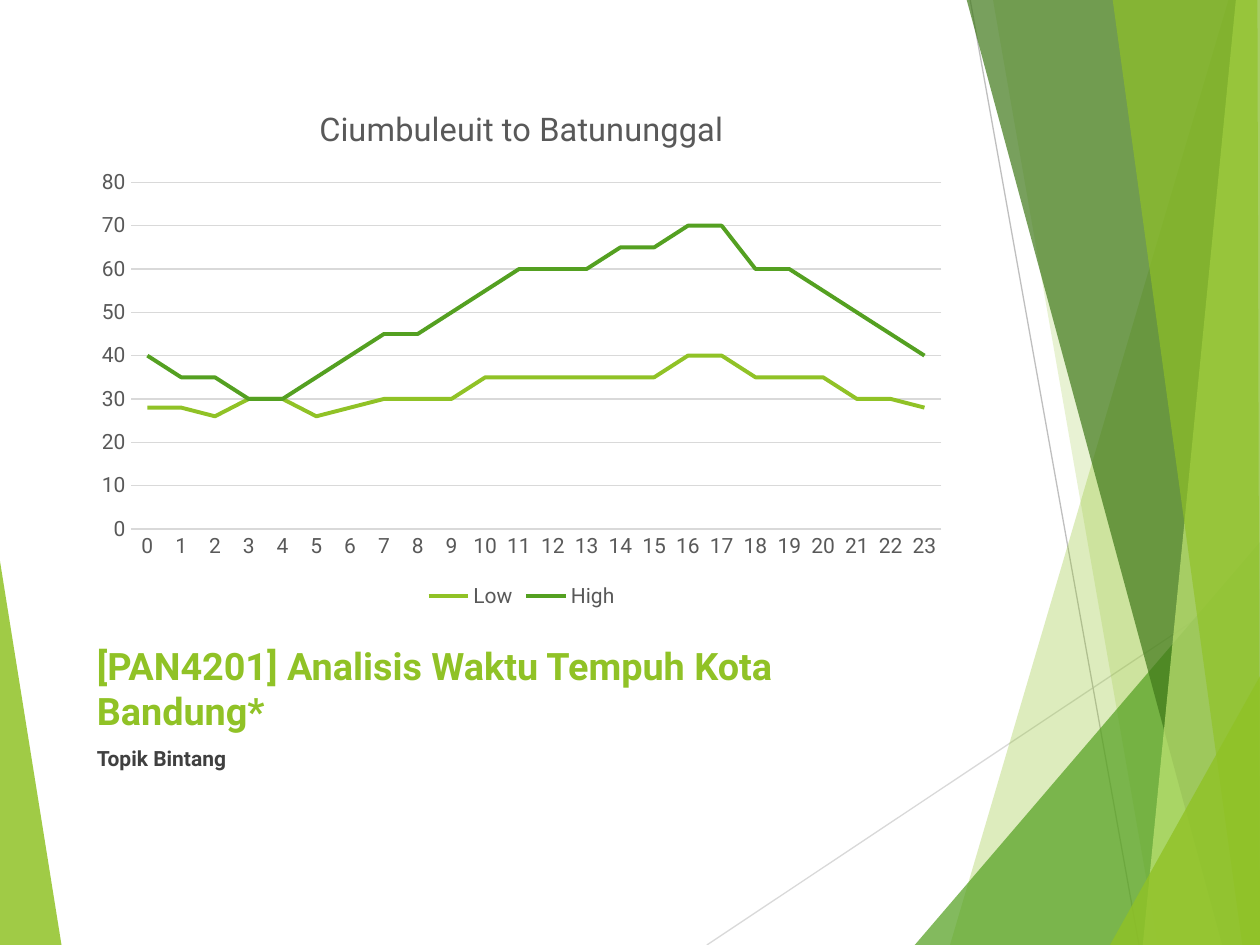
from dataclasses import dataclass

from lxml.etree import SubElement
from pptx import Presentation
from pptx.chart.data import CategoryChartData
from pptx.dml.color import RGBColor
from pptx.enum.chart import XL_CHART_TYPE, XL_LEGEND_POSITION, XL_TICK_MARK
from pptx.enum.shapes import MSO_CONNECTOR
from pptx.enum.text import MSO_ANCHOR
from pptx.oxml.ns import qn
from pptx.util import Inches, Pt


@dataclass(frozen=True)
class Theme:
    font: str = "Roboto"
    lime: str = "90C226"
    green: str = "54A021"
    forest: str = "3F7819"
    pale: str = "C0E474"
    body: str = "404040"
    label: str = "595959"
    grid: str = "D9D9D9"
    rule: str = "BFBFBF"
    title_size: float = 21.6
    chart_title_size: float = 18.6
    small_size: float = 12
    hairline: float = 0.75
    series_line: float = 2.25


class SlideBuilder:
    def __init__(self, slide, theme):
        self.s = slide
        self.theme = theme

    def style_font(self, font, size, color, bold=False):
        font.name = self.theme.font
        font.size = Pt(size)
        font.bold = bold
        font.color.rgb = RGBColor.from_string(color)

    def style_line(self, line, color, width):
        line.color.rgb = RGBColor.from_string(color)
        line.width = Pt(width)

    def facet(self, points, color, opacity):
        start, *rest = [(Inches(x), Inches(y)) for x, y in points]
        builder = self.s.shapes.build_freeform(*start)
        builder.add_line_segments(rest, close=True)
        sp = builder.convert_to_shape()
        sp.shadow.inherit = False
        sp.fill.solid()
        sp.fill.fore_color.rgb = RGBColor.from_string(color)
        sp.line.fill.background()
        clr = sp.fill._xPr.find(qn("a:solidFill"))[0]
        SubElement(clr, qn("a:alpha")).set("val", str(opacity * 1000))

    def line(self, start, end, color):
        ends = [Inches(v) for v in (*start, *end)]
        cn = self.s.shapes.add_connector(MSO_CONNECTOR.STRAIGHT, *ends)
        self.style_line(cn.line, color, self.theme.hairline)
        SubElement(cn._element.spPr, qn("a:effectLst"))

    def text(self, box, content, size, color, anchor):
        tf = self.s.shapes.add_textbox(*map(Inches, box)).text_frame
        tf.word_wrap = True
        tf.vertical_anchor = anchor
        r = tf.paragraphs[0].add_run()
        r.text = content
        self.style_font(r.font, size, color, bold=True)

    def line_chart(self, box, title, categories, series):
        t = self.theme
        data = CategoryChartData()
        data.categories = categories
        for name, values, _ in series:
            data.add_series(name, values)
        chart = self.s.shapes.add_chart(
            XL_CHART_TYPE.LINE, *map(Inches, box), data
        ).chart
        self.style_font(chart.font, t.small_size, t.label)

        chart.has_title = True
        r = chart.chart_title.text_frame.paragraphs[0].add_run()
        r.text = title
        self.style_font(r.font, t.chart_title_size, t.label)
        chart.chart_title.include_in_layout = False

        chart.has_legend = True
        chart.legend.position = XL_LEGEND_POSITION.BOTTOM
        chart.legend.include_in_layout = False
        self.style_font(chart.legend.font, t.small_size, t.label)

        for axis in (chart.category_axis, chart.value_axis):
            axis.major_tick_mark = XL_TICK_MARK.NONE
            axis.minor_tick_mark = XL_TICK_MARK.NONE
            self.style_font(axis.tick_labels.font, t.small_size, t.label)
        self.style_line(chart.category_axis.format.line, t.grid, t.hairline)
        chart.value_axis.format.line.fill.background()
        chart.value_axis.minimum_scale = 0
        chart.value_axis.maximum_scale = 80
        chart.value_axis.major_unit = 10
        self.style_line(chart.value_axis.major_gridlines.format.line, t.grid, t.hairline)

        plot = chart.plots[0]
        plot.vary_by_categories = False
        for ser, (_, _, color) in zip(plot.series, series):
            ser.smooth = False
            self.style_line(ser.format.line, color, t.series_line)


def main():
    theme = Theme()
    prs = Presentation()
    prs.slide_width, prs.slide_height = Inches(10), Inches(7.5)
    s = SlideBuilder(prs.slides.add_slide(prs.slide_layouts[6]), theme)

    s.facet([(-0.01, 4.39), (0.49, 7.51), (-0.01, 7.5)], theme.lime, 85)
    s.line((5.61, 7.5), (10.01, 4.57), theme.grid)
    s.line((7.7, 0), (9.04, 7.5), theme.rule)

    right, top, bottom = 10.01, -0.01, 7.5
    facets = [
        ([(9.75, 0), (7.54, bottom), (right, bottom), (right, 0)], theme.lime, 30),
        ([(7.88, top), (9.19, bottom), (right, bottom), (right, top)], theme.lime, 20),
        ([(7.26, bottom), (right, 4.29), (right, bottom)], theme.green, 72),
        ([(7.67, top), (9.7, bottom), (right, bottom), (right, top)], theme.forest, 70),
        ([(9.81, top), (9.07, bottom), (right, bottom), (right, top)], theme.pale, 70),
        ([(8.83, top), (9.86, bottom), (10, bottom), (9.98, top)], theme.lime, 65),
        ([(8.81, bottom), (right, 5.35), (right, bottom)], theme.lime, 80),
    ]
    for facet in facets:
        s.facet(*facet)

    left, width = 0.67, 6.94
    s.text((left, 5.25, width, 0.62), "[PAN4201] Analisis Waktu Tempuh Kota Bandung*",
           theme.title_size, theme.lime, MSO_ANCHOR.BOTTOM)
    s.text((left, 5.87, width, 0.74), "Topik Bintang",
           theme.small_size, theme.body, MSO_ANCHOR.TOP)

    low = [28, 28, 26, 30, 30, 26, 28, 30, 30, 30, 35, 35,
           35, 35, 35, 35, 40, 40, 35, 35, 35, 30, 30, 28]
    high = [40, 35, 35, 30, 30, 35, 40, 45, 45, 50, 55, 60,
            60, 60, 65, 65, 70, 70, 60, 60, 55, 50, 45, 40]
    s.line_chart((left, 0.67, width, 4.2), "Ciumbuleuit to Batununggal", range(24),
                 [("Low", low, theme.lime), ("High", high, theme.green)])

    prs.save("out.pptx")


if __name__ == "__main__":
    main()
